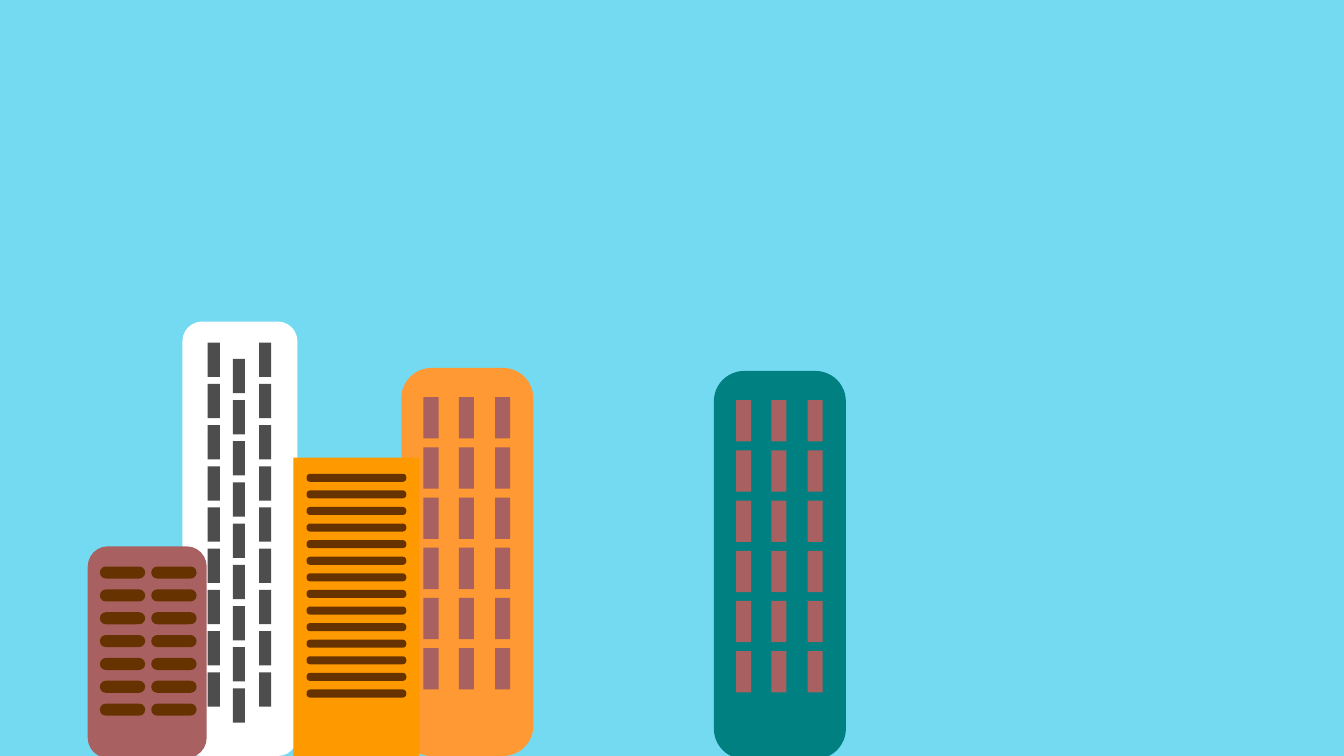
"""Draw a row of city buildings against a plain sky."""
from pptx import Presentation
from pptx.dml.color import RGBColor
from pptx.enum.shapes import MSO_SHAPE as Shape
from pptx.util import Inches

SKY = RGBColor(0x74, 0xDA, 0xF2)
WHITE = RGBColor(0xFF, 0xFF, 0xFF)
GREY = RGBColor(0x4D, 0x4D, 0x4D)
BRICK = RGBColor(0xA8, 0x60, 0x60)
BROWN = RGBColor(0x66, 0x33, 0x00)
PEACH = RGBColor(0xFF, 0x99, 0x33)
AMBER = RGBColor(0xFF, 0x99, 0x00)
TEAL = RGBColor(0x00, 0x80, 0x80)


def block(shapes, x, y, w, h, color, curve=0):
    kind = Shape.ROUNDED_RECTANGLE if curve else Shape.RECTANGLE
    shape = shapes.add_shape(kind, Inches(x), Inches(y), Inches(w), Inches(h))
    if curve:
        shape.adjustments[0] = curve
    shape.fill.solid()
    shape.fill.fore_color.rgb = color
    shape.line.fill.background()
    shape.shadow.inherit = False


def column(shapes, x, y, w, h, rows, span, color, curve=0):
    for row in range(rows):
        top = y + span * row / (rows - 1)
        block(shapes, x, top, w, h, color, curve)


def high_rise(shapes, x, y, w, h):
    block(shapes, x, y, w, h, WHITE, 0.17)
    for left, top in ((0.25, 0.21), (0.5, 0.37), (0.76, 0.21)):
        column(shapes, x + left, y + top, 0.12, 0.34, 9, 3.27, GREY)


def low_house(shapes, x, y, w, h):
    block(shapes, x, y, w, h, BRICK, 0.17)
    for left in (0.12, 0.63):
        column(shapes, x + left, y + 0.2, 0.45, 0.12, 7, 1.36, BROWN, 0.5)


def tower(shapes, x, y, w, h, color):
    block(shapes, x, y, w, h, color, 0.23)
    for left in (0.22, 0.57, 0.93):
        column(shapes, x + left, y + 0.29, 0.15, 0.41, 6, 2.49, BRICK)


def office(shapes, x, y, w, h):
    block(shapes, x, y, w, h, AMBER)
    column(shapes, x + 0.13, y + 0.16, 0.99, 0.08, 14, 2.14, BROWN, 0.44)


def main():
    deck = Presentation()
    deck.slide_width, deck.slide_height = Inches(13.33), Inches(7.5)
    slide = deck.slides.add_slide(deck.slide_layouts[6])
    slide.background.fill.solid()
    slide.background.fill.fore_color.rgb = SKY

    shapes = slide.shapes
    high_rise(shapes.add_group_shape().shapes, 1.81, 3.19, 1.14, 4.31)
    low_house(shapes.add_group_shape().shapes, 0.87, 5.42, 1.18, 2.1)
    tower(shapes.add_group_shape().shapes, 3.98, 3.65, 1.31, 3.85, PEACH)
    office(shapes.add_group_shape().shapes, 2.91, 4.54, 1.25, 2.96)
    tower(shapes, 7.08, 3.68, 1.31, 3.85, TEAL)
    deck.save("out.pptx")


if __name__ == "__main__":
    main()
